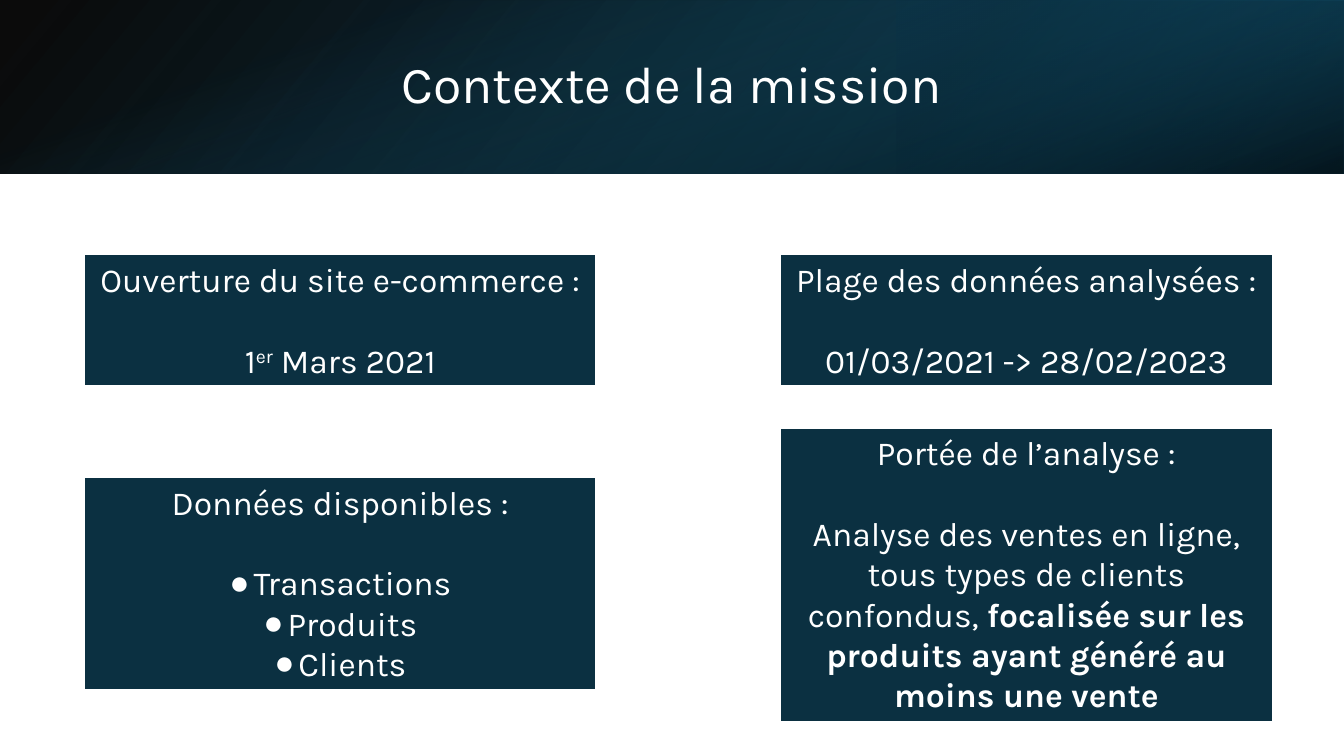
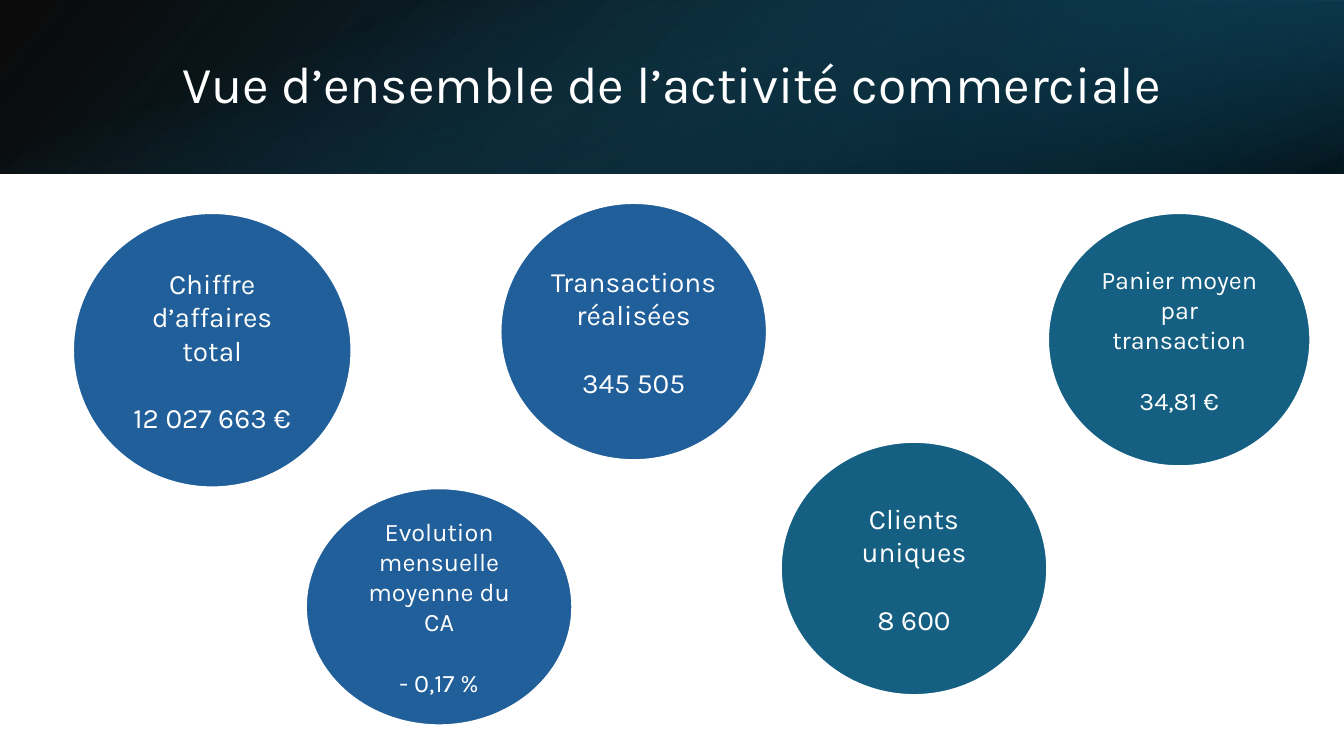
from pptx import Presentation
from pptx.dml.color import RGBColor
from pptx.enum import shapes, text
from pptx.oxml import parse_xml
from pptx.oxml.ns import nsdecls, qn
from pptx.util import Inches, Pt

FONT = "Karla"
WHITE, NAVY, BLUE, TEAL = "FFFFFF", "0B3041", "215F9A", "156082"
RECT = shapes.MSO_SHAPE.RECTANGLE
DISC = shapes.MSO_SHAPE.FLOWCHART_CONNECTOR

# place, rotation, mirrored, stops (percent, colour, opacity), angle
BANDS = [
    ((0, 0, 13.33, 1.72), 0, True, [(0, "000000", 96), (100, "104862", 100)], 140),
    ((8.89, 0, 4.44, 1.72), 180, True, [(19, NAVY, 68), (100, TEAL, 79)], 320),
    ((5.8, -5.8, 1.72, 13.33), 90, False, [(23, TEAL, 0), (99, "000000", 74)], 340),
]

# place, heading, body paragraphs as lists of (text, style), bulleted
CARDS = [
    ((0.83, 2.52, 5.09, 1.31), "Ouverture du site e-commerce :",
     [[("1", ""), ("er", "super"), (" Mars 2021", "")]], False),
    ((0.83, 4.73, 5.09, 2.12), "Données disponibles :",
     [[("Transactions", "")], [("Produits", "")], [("Clients", "")]], True),
    ((7.73, 2.52, 4.9, 1.31), "Plage des données analysées :",
     [[("01/03/2021 -> 28/02/2023", "")]], False),
    ((7.73, 4.24, 4.9, 2.93), "Portée de l’analyse :",
     [[("Analyse des ventes en ligne, tous types de clients confondus, ", ""),
       ("focalisée sur les produits ayant généré au moins une vente", "bold")]], False),
]

# place, colour, text size, label, value
FIGURES = [
    ((0.72, 2.11, 2.77, 2.73), BLUE, 20, "Chiffre d’affaires total", "12 027 663 €"),
    ((10.39, 2.11, 2.61, 2.52), TEAL, 18, "Panier moyen par transaction", "34,81 €"),
    ((7.74, 4.38, 2.65, 2.52), TEAL, 20, "Clients uniques", "8 600"),
    ((4.96, 2.01, 2.65, 2.56), BLUE, 20, "Transactions réalisées", "345 505"),
    ((3.03, 4.84, 2.65, 2.36), BLUE, 18, "Evolution mensuelle moyenne du CA", "- 0,17 %"),
]


def rgb(code):
    return RGBColor.from_string(code)


def add_shape(slide, kind, place):
    shape = slide.shapes.add_shape(kind, *map(Inches, place))
    shape.shadow.inherit = False
    return shape


def style(run, size):
    run.font.name = FONT
    run.font.size = Pt(size)
    run.font.color.rgb = rgb(WHITE)


def add_band(slide, place, turn, mirror, stops, angle):
    band = add_shape(slide, RECT, place)
    band.rotation = turn
    band.line.fill.background()
    props = band._element.spPr
    if mirror:
        props.find(qn("a:xfrm")).set("flipH", "1")
    marks = "".join(
        f'<a:gs pos="{pos * 1000}"><a:srgbClr val="{code}">'
        f'<a:alpha val="{alpha * 1000}"/></a:srgbClr></a:gs>'
        for pos, code, alpha in stops)
    props.find(qn("a:prstGeom")).addnext(parse_xml(
        f'<a:gradFill rotWithShape="1" {nsdecls("a")}><a:gsLst>{marks}</a:gsLst>'
        f'<a:lin ang="{angle * 60000}" scaled="0"/></a:gradFill>'))


def add_bullet(para):
    props = para._p.get_or_add_pPr()
    props.set("marL", str(Inches(0.24)))
    props.set("indent", str(-Inches(0.24)))
    props.append(parse_xml(f'<a:buFont {nsdecls("a")} typeface="Arial"/>'))
    props.append(parse_xml(f'<a:buChar {nsdecls("a")} char="●"/>'))


def add_panel(slide, kind, place, color, size, head, body, bullets=False):
    """Filled shape with a heading, a one-line gap and body paragraphs."""
    panel = add_shape(slide, kind, place)
    panel.fill.solid()
    panel.fill.fore_color.rgb = rgb(color)
    panel.line.color.rgb = rgb(WHITE)
    panel.line.width = Pt(2)
    frame = panel.text_frame
    frame.word_wrap = True
    for i, parts in enumerate([[(head, "")]] + body):
        para = frame.add_paragraph() if i else frame.paragraphs[0]
        para.alignment = text.PP_ALIGN.CENTER
        if i == 1:
            para.space_before = Pt(size * 1.2)
        if i and bullets:
            add_bullet(para)
        for words, look in parts:
            run = para.add_run()
            run.text = words
            style(run, size)
            if look == "bold":
                run.font.bold = True
            elif look == "super":
                run.font._element.set("baseline", "30000")
    return frame


def add_slide(deck, name):
    slide = deck.slides.add_slide(deck.slide_layouts[5])
    for band in BANDS:
        add_band(slide, *band)
    title = slide.shapes.title
    slide.shapes._spTree.append(title._element)  # bring above the bands
    title.left, title.top, title.width, title.height = map(
        Inches, (1.17, 0.38, 10.98, 0.96))
    frame = title.text_frame
    frame.text = name
    frame.vertical_anchor = text.MSO_ANCHOR.MIDDLE
    para = frame.paragraphs[0]
    para.alignment = text.PP_ALIGN.CENTER
    para.line_spacing = 0.9
    style(para.runs[0], 37)
    return slide


def main():
    deck = Presentation()
    deck.slide_width, deck.slide_height = Inches(13.33), Inches(7.5)

    slide = add_slide(deck, "Contexte de la mission")
    for place, head, body, bullets in CARDS:
        frame = add_panel(slide, RECT, place, NAVY, 24, head, body, bullets)
        frame.vertical_anchor = text.MSO_ANCHOR.TOP
        frame.auto_size = text.MSO_AUTO_SIZE.SHAPE_TO_FIT_TEXT

    slide = add_slide(deck, "Vue d’ensemble de l’activité commerciale")
    for place, color, size, label, value in FIGURES:
        frame = add_panel(slide, DISC, place, color, size, label, [[(value, "")]])
        frame.vertical_anchor = text.MSO_ANCHOR.MIDDLE

    deck.save("out.pptx")


if __name__ == "__main__":
    main()
